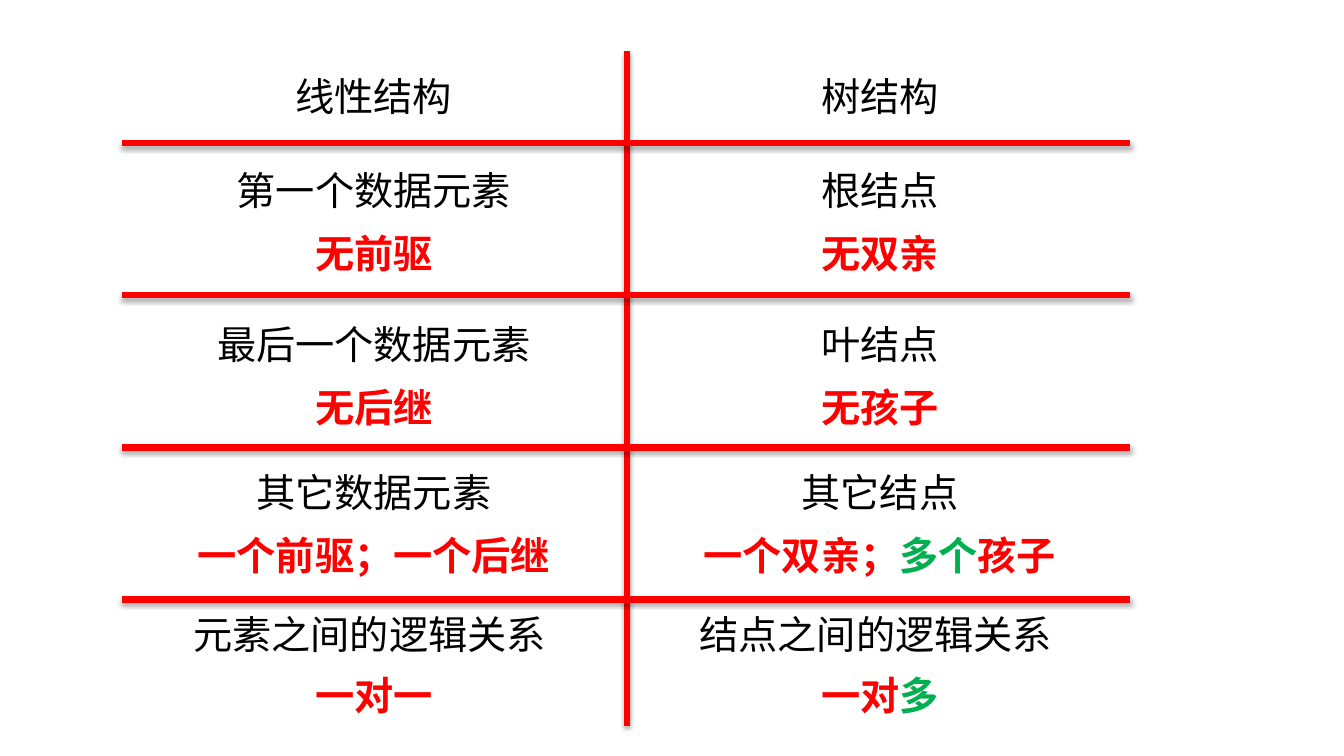
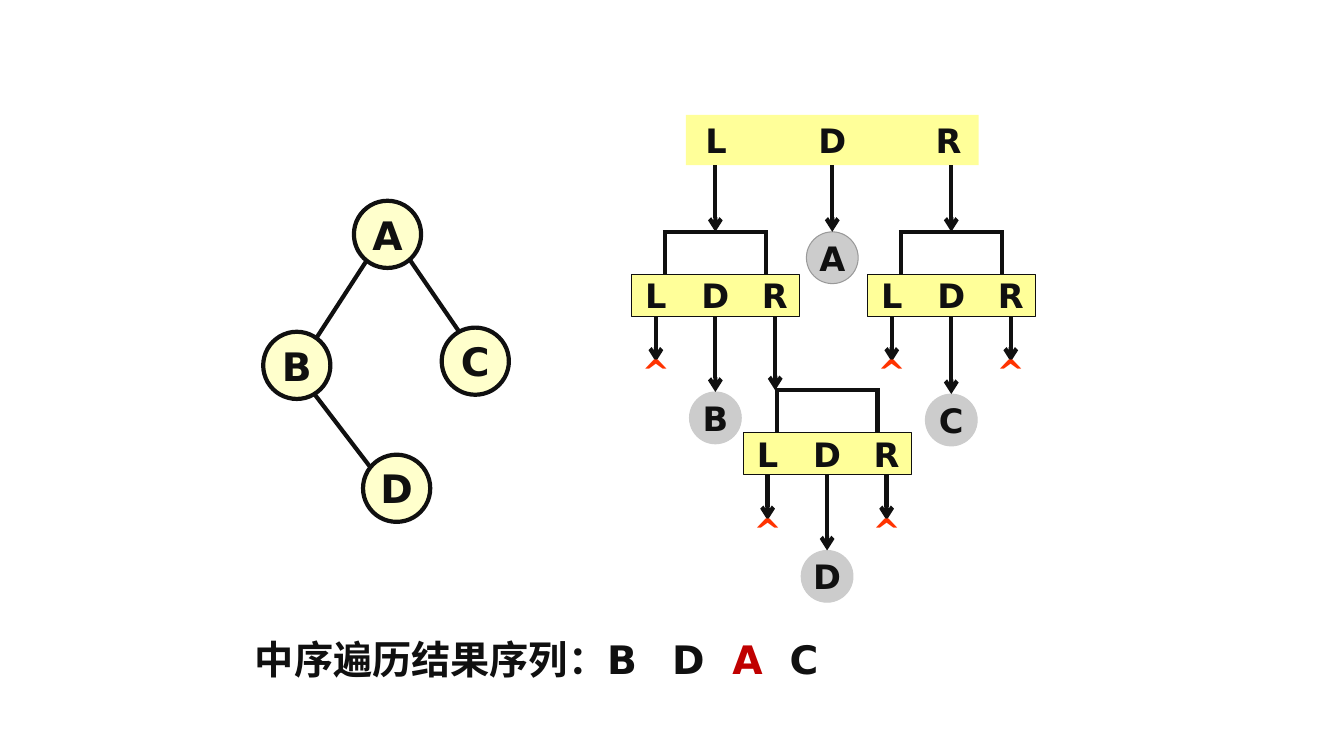
from dataclasses import dataclass
from typing import NamedTuple

from lxml import etree
from pptx import Presentation
from pptx.dml.color import RGBColor
from pptx.enum.shapes import MSO_CONNECTOR, MSO_SHAPE
from pptx.enum.text import MSO_ANCHOR, PP_ALIGN
from pptx.oxml.ns import qn
from pptx.shapes.autoshape import Shape
from pptx.shapes.connector import Connector
from pptx.slide import Slide
from pptx.util import Pt

STRAIGHT = MSO_CONNECTOR.STRAIGHT
OVAL, RECT = MSO_SHAPE.OVAL, MSO_SHAPE.RECTANGLE
MIDDLE = MSO_ANCHOR.MIDDLE
LEFT, CENTER = PP_ALIGN.LEFT, PP_ALIGN.CENTER
TOP_SIDE, BOTTOM_SIDE = 0, 2


@dataclass(frozen=True)
class Theme:
    """Colours, fonts and type sizes of both slides."""
    black: str = "000000"
    ink: str = "101010"
    red: str = "FF0000"
    green: str = "00B050"
    dark_red: str = "C00000"
    null: str = "FF3300"
    bar: str = "FFFF99"
    node: str = "FFFFCC"
    visit: str = "CCCCCC"
    visit_edge: str = "999999"
    latin: str = "DejaVu Sans"
    cjk: str = "Noto Sans CJK SC"
    body: float = 28
    label: float = 24
    rule: float = 4.5
    stroke: float = 3
    hairline: float = 0.75


T = Theme()


class Span(NamedTuple):
    """A piece of text in one colour."""
    text: str
    color: str


class Box(NamedTuple):
    """Left, top, width and height in points."""
    x: float
    y: float
    w: float
    h: float


class Column(NamedTuple):
    """Horizontal extent of a comparison column."""
    x: float
    w: float


class Row(NamedTuple):
    """Comparison row: subjects and their properties, one per column."""
    top: float
    subjects: tuple[str, str]
    details: tuple[tuple[Span, ...], ...] = ()
    dx: float = 0
    pitch: float = 45.4


class Node(NamedTuple):
    """Tree node with its centre."""
    name: str
    x: float
    y: float


class Edge(NamedTuple):
    """Straight tree edge."""
    x1: float
    y1: float
    x2: float
    y2: float


class Call(NamedTuple):
    """Recursive L D R call with its bracket, visited node and null ends."""
    center: float
    top: float
    feed_x: float
    feed_y: float
    visit: str
    drop: float
    null_sides: tuple[int, ...]


COLUMNS = (Column(87, 360), Column(450, 357))
ROWS = (
    Row(48, ("线性结构", "树结构")),
    Row(115, ("第一个数据元素", "根结点"),
        ((Span("无前驱", T.red),), (Span("无双亲", T.red),))),
    Row(225, ("最后一个数据元素", "叶结点"),
        ((Span("无后继", T.red),), (Span("无孩子", T.red),))),
    Row(330.5, ("其它数据元素", "其它结点"),
        ((Span("一个前驱；一个后继", T.red),),
         (Span("一个双亲；", T.red), Span("多个", T.green), Span("孩子", T.red)))),
    Row(432, ("元素之间的逻辑关系", "结点之间的逻辑关系"),
        ((Span("一对一", T.red),), (Span("一对", T.red), Span("多", T.green))),
        dx=-3, pitch=44),
)
NODES = (Node("A", 276.8, 167.4), Node("B", 212, 261),
         Node("C", 339.5, 258), Node("D", 283.3, 348.8))
EDGES = (Edge(262, 186, 225, 243), Edge(293, 186, 328, 237),
         Edge(225, 282, 264, 333))
CALLS = (
    Call(511, 195.8, 511, 118, "B", 54, (-1,)),
    Call(679.5, 195.8, 679.5, 118, "C", 55.5, (-1, 1)),
    Call(590.8, 309, 553.7, 226, "D", 54, (-1, 1)),
)
ROOT_BAR = Box(490, 82, 209, 36)
BAR_W, BAR_H, BAR_STEP = 120, 30.2, 42.5
BRACKET_HALF, BRACKET_H = 36, 30.2
VISIT_D, NODE_D = 37, 48
NULL_DROP = 32.4
SEQUENCE_TABS = (298, 341, 382)


def rgb(color: str) -> RGBColor:
    """Turn a hex string into a colour."""
    return RGBColor.from_string(color)


def write(shape: Shape, spans: tuple[Span, ...], size: float, bold: bool = True,
          font: str = T.latin, align: PP_ALIGN = CENTER, margin: float = 0,
          tabs: tuple[float, ...] = ()) -> None:
    """Fill a shape with one paragraph of coloured spans."""
    tf = shape.text_frame
    layout = {"word_wrap": True, "vertical_anchor": MIDDLE,
              "margin_left": Pt(margin), "margin_right": Pt(margin),
              "margin_top": 0, "margin_bottom": 0}
    for key, value in layout.items():
        setattr(tf, key, value)
    p = tf.paragraphs[0]
    p.alignment = align
    if tabs:
        tab_list = etree.SubElement(p._p.get_or_add_pPr(), qn("a:tabLst"))
        for pos in tabs:
            etree.SubElement(tab_list, qn("a:tab"), pos=str(Pt(pos)), algn="l")
    for span in spans:
        r = p.add_run()
        r.text = span.text
        for key, value in {"size": Pt(size), "bold": bold, "name": font}.items():
            setattr(r.font, key, value)
        r.font.color.rgb = rgb(span.color)
        etree.SubElement(r._r.get_or_add_rPr(), qn("a:ea"), typeface=T.cjk)


def add_text(s: Slide, box: Box) -> Shape:
    """Add an empty text box."""
    return s.shapes.add_textbox(*map(Pt, box))


def add_block(s: Slide, kind: MSO_SHAPE, box: Box, fill: str,
              edge: str | None = None, width: float = T.hairline) -> Shape:
    """Add a filled shape with an optional outline."""
    sp = s.shapes.add_shape(kind, *map(Pt, box))
    sp.shadow.inherit = False
    sp.fill.solid()
    sp.fill.fore_color.rgb = rgb(fill)
    if edge:
        sp.line.color.rgb = rgb(edge)
        sp.line.width = Pt(width)
    else:
        sp.line.fill.background()
    return sp


def add_disc(s: Slide, node: Node, d: float, fill: str, edge: str,
             width: float, size: float) -> Shape:
    """Add a named circle around a centre."""
    sp = add_block(s, OVAL, Box(node.x - d / 2, node.y - d / 2, d, d),
                   fill, edge, width)
    write(sp, (Span(node.name, T.ink),), size)
    return sp


def add_line(s: Slide, x1: float, y1: float, x2: float, y2: float,
             color: str = T.ink, width: float = T.stroke,
             arrow: bool = False, shadow: bool = False) -> Connector:
    """Add a straight line, with an arrowhead or a soft shadow if asked."""
    cx = s.shapes.add_connector(STRAIGHT, Pt(x1), Pt(y1), Pt(x2), Pt(y2))
    cx.line.color.rgb = rgb(color)
    cx.line.width = Pt(width)
    if arrow:
        etree.SubElement(cx.line._get_or_add_ln(), qn("a:tailEnd"), type="arrow")
    effects = etree.SubElement(cx._element.spPr, qn("a:effectLst"))
    if shadow:
        outer = etree.SubElement(effects, qn("a:outerShdw"), blurRad=str(Pt(3.1)),
                                 dist=str(Pt(1.8)), dir="5400000", rotWithShape="0")
        black = etree.SubElement(outer, qn("a:srgbClr"), val=T.black)
        etree.SubElement(black, qn("a:alpha"), val="35000")
    return cx


def add_bar(s: Slide, box: Box, step: float, edge: str | None = None) -> Shape:
    """Add a bar holding the evenly spaced letters L, D and R."""
    bar = add_block(s, RECT, box, T.bar, edge)
    for i, letter in enumerate("LDR", start=-1):
        x = box.x + box.w / 2 + i * step
        label = add_text(s, Box(x - 17, box.y + box.h / 2 - 14, 34, 28))
        write(label, (Span(letter, T.ink),), T.label)
    return bar


def add_visit(s: Slide, bar: Shape, name: str, x: float, top: float,
              edge: str) -> None:
    """Add a visited node below a bar and the arrow joining them."""
    disc = add_disc(s, Node(name, x, top + VISIT_D / 2), VISIT_D, T.visit,
                    edge, T.hairline, T.label)
    cx = add_line(s, x, top, x, top, arrow=True)
    cx.begin_connect(bar, BOTTOM_SIDE)
    cx.end_connect(disc, TOP_SIDE)


def add_call(s: Slide, call: Call) -> None:
    """Draw one recursive call."""
    x, roof, bottom = call.center, call.top - BRACKET_H, call.top + BAR_H
    add_line(s, call.feed_x, call.feed_y, call.feed_x, roof, arrow=True)
    left, right = x - BRACKET_HALF, x + BRACKET_HALF
    add_line(s, left - 1.5, roof, right + 1.5, roof)
    for leg in (left, right):
        add_line(s, leg, roof, leg, call.top)
    bar = add_bar(s, Box(x - BAR_W / 2, call.top, BAR_W, BAR_H), BAR_STEP, T.ink)
    add_visit(s, bar, call.visit, x, bottom + call.drop, T.visit)
    for side in call.null_sides:
        end_x, end_y = x + side * BAR_STEP, bottom + NULL_DROP
        add_line(s, end_x, bottom, end_x, end_y, arrow=True)
        mark = add_text(s, Box(end_x - 18, end_y - 7, 36, 28))
        write(mark, (Span("^", T.null),), T.label)


def comparison_slide(s: Slide) -> None:
    """Compare linear structures with trees."""
    add_line(s, 447.8, 36.7, 447.8, 518.4, T.red, T.rule, shadow=True)
    for i in range(len(ROWS) - 1):
        y = 102.2 + 108.7 * i
        add_line(s, 87, y, 807, y, T.red, T.rule, shadow=True)
    for row in ROWS:
        for col, subject in zip(COLUMNS, row.subjects):
            sp = add_text(s, Box(col.x + row.dx, row.top, col.w, 41))
            write(sp, (Span(subject, T.black),), T.body, bold=False, font=T.cjk)
        for col, detail in zip(COLUMNS, row.details):
            sp = add_text(s, Box(col.x, row.top + row.pitch, col.w, 41))
            write(sp, detail, T.body, font=T.cjk)


def traversal_slide(s: Slide) -> None:
    """Show the in-order traversal of a small tree."""
    for edge in EDGES:
        add_line(s, *edge)
    for node in NODES:
        add_disc(s, node, NODE_D, T.node, T.ink, T.stroke, T.body)
    root = add_bar(s, ROOT_BAR, 83)
    add_visit(s, root, "A", ROOT_BAR.x + ROOT_BAR.w / 2, 165.6, T.visit_edge)
    for call in CALLS:
        add_call(s, call)
    result = add_text(s, Box(175, 450, 516, 41))
    write(result, (Span("中序遍历结果序列：B\tD\t", T.ink), Span("A", T.dark_red),
                   Span("\tC", T.ink)),
          T.body, align=LEFT, margin=7.2, tabs=SEQUENCE_TABS)


def main() -> None:
    """Build and save the presentation."""
    prs = Presentation()
    prs.slide_width, prs.slide_height = Pt(960), Pt(540)
    for draw in (comparison_slide, traversal_slide):
        draw(prs.slides.add_slide(prs.slide_layouts[6]))
    prs.save("out.pptx")


if __name__ == "__main__":
    main()
